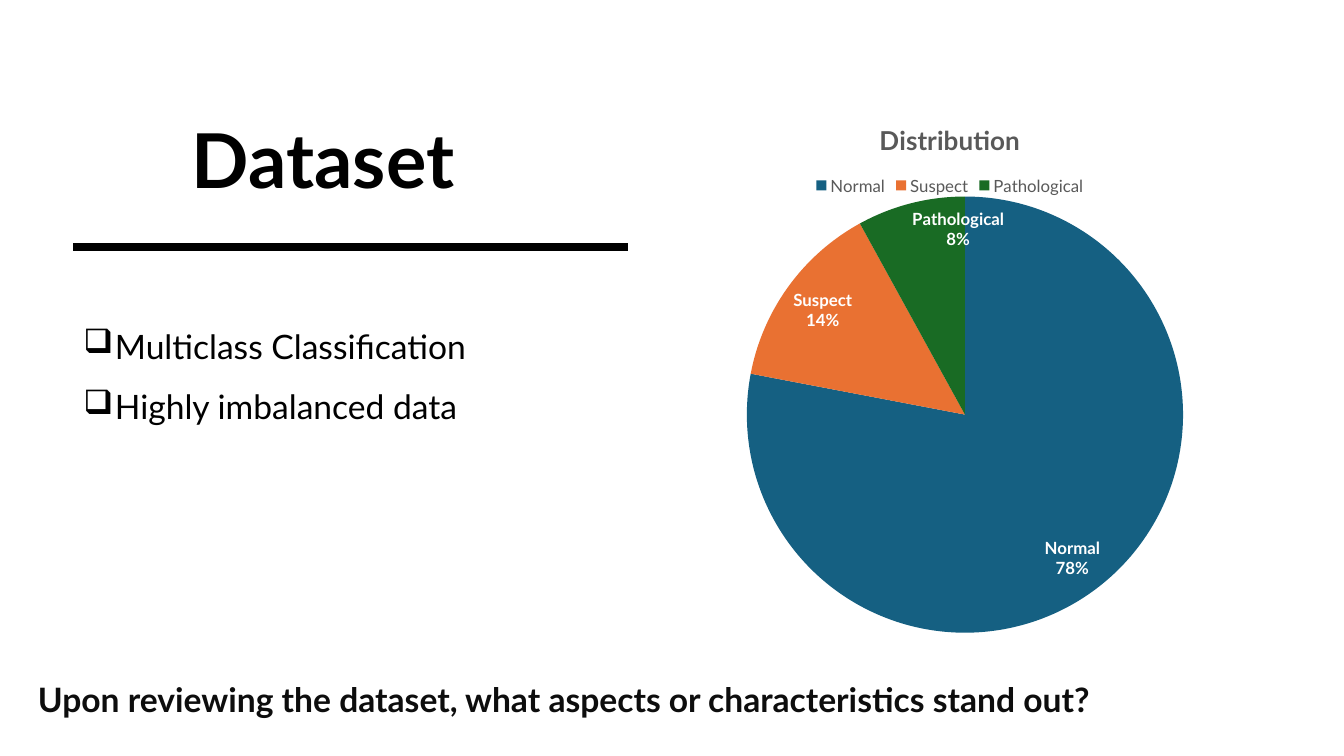
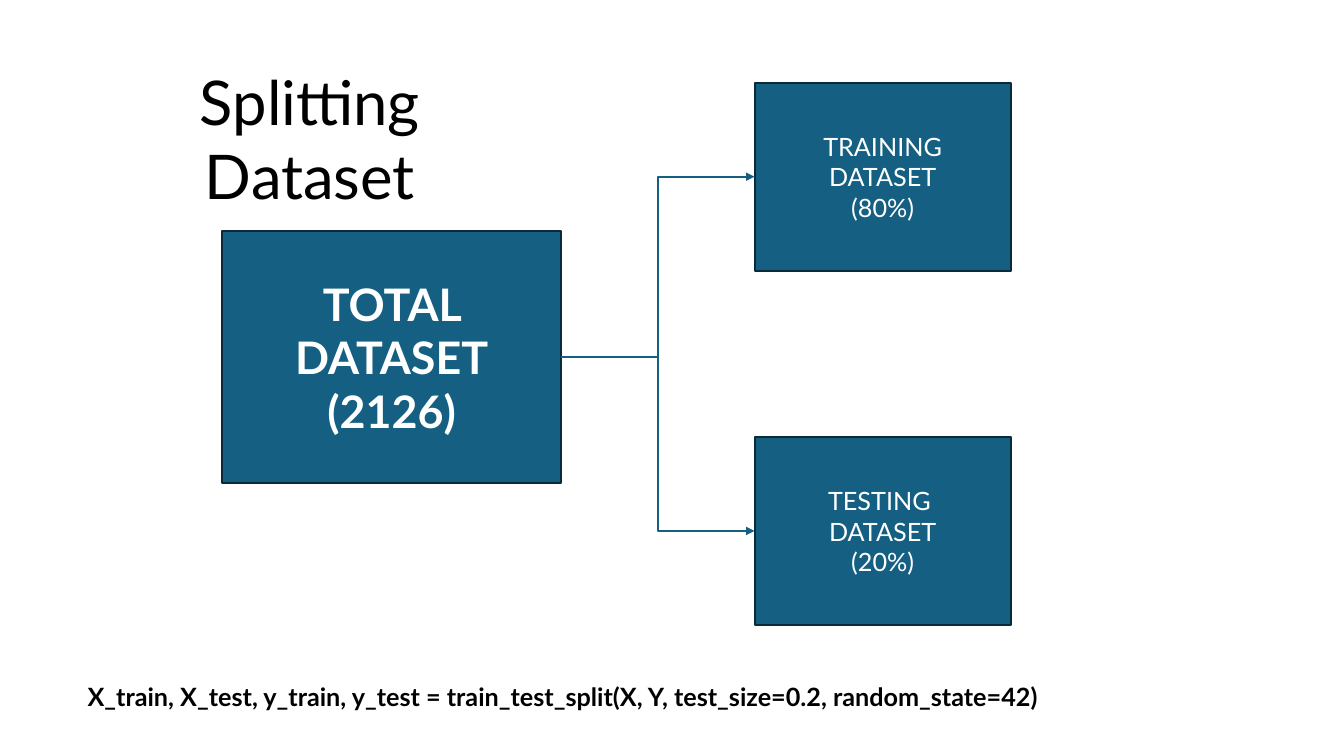
from dataclasses import dataclass

import lxml.etree
import pptx
import pptx.chart.chart
import pptx.chart.data
import pptx.dml.color
import pptx.enum.chart
import pptx.enum.shapes
import pptx.enum.text
import pptx.oxml
import pptx.oxml.ns
import pptx.shapes.autoshape
import pptx.shapes.connector
import pptx.slide
import pptx.text.text
import pptx.util

Pt = pptx.util.Pt
RGB = pptx.dml.color.RGBColor
Align = pptx.enum.text.PP_ALIGN
Line = pptx.enum.shapes.MSO_CONNECTOR
qn = pptx.oxml.ns.qn

FONT = "Lato"
BLACK = RGB(0x00, 0x00, 0x00)
INK = RGB(0x0D, 0x0D, 0x0D)
GREY = RGB(0x59, 0x59, 0x59)
WHITE = RGB(0xFF, 0xFF, 0xFF)
BLUE = RGB(0x15, 0x60, 0x82)
NAVY = RGB(0x09, 0x2A, 0x39)
ORANGE = RGB(0xE9, 0x71, 0x32)
GREEN = RGB(0x19, 0x6B, 0x24)

LEFT = 55.5
SPLIT_X, SPLIT_W, SPLIT_H = 539, 183, 134.5


@dataclass(frozen=True)
class Area:
    x: float
    y: float
    w: float
    h: float

    def lengths(self) -> tuple[pptx.util.Length, ...]:
        return Pt(self.x), Pt(self.y), Pt(self.w), Pt(self.h)


@dataclass(frozen=True)
class Style:
    size: float
    bold: bool = False
    color: RGB = BLACK
    align: Align = Align.LEFT
    bullet: str = ""
    spacing: float = 1.0


@dataclass(frozen=True)
class Block:
    area: Area
    lines: tuple[str, ...]
    style: Style


@dataclass(frozen=True)
class Slice:
    name: str
    share: int
    color: RGB


SLICES = (
    Slice("Normal", 78, BLUE),
    Slice("Suspect", 14, ORANGE),
    Slice("Pathological", 8, GREEN),
)
LIST = Style(24, bullet="❑", spacing=1.5)
SMALL = Style(18, color=WHITE, align=Align.CENTER)
TOTAL = Block(Area(158.5, 165, 242.5, 180), ("TOTAL DATASET", "(2126)"),
              Style(32, True, WHITE, Align.CENTER))
SPLITS = (
    Block(Area(SPLIT_X, 312, SPLIT_W, SPLIT_H),
          ("TESTING ", "DATASET", "(20%)"), SMALL),
    Block(Area(SPLIT_X, 59, SPLIT_W, SPLIT_H),
          ("TRAINING", "DATASET", "(80%)"), SMALL),
)


def set_font(font: pptx.text.text.Font, size: float, bold: bool, color: RGB) -> None:
    font.name = FONT
    font.size = Pt(size)
    font.bold = bold
    font.color.rgb = color


def fill_text(frame: pptx.text.text.TextFrame, block: Block) -> None:
    style = block.style
    for i, line in enumerate(block.lines):
        para = frame.paragraphs[0] if i == 0 else frame.add_paragraph()
        para.text = line
        para.alignment = style.align
        para.line_spacing = style.spacing
        if style.bullet:
            props = para._p.get_or_add_pPr()
            props.set("marL", str(Pt(22.5)))
            props.set("indent", str(Pt(-22.5)))
            mark = lxml.etree.SubElement(props, qn("a:buChar"))
            mark.set("char", style.bullet)
        set_font(para.font, style.size, style.bold, style.color)


def add_text(slide: pptx.slide.Slide, block: Block, wrap: bool = True,
             inset: float = 7.2) -> None:
    frame = slide.shapes.add_textbox(*block.area.lengths()).text_frame
    frame.word_wrap = wrap
    frame.auto_size = pptx.enum.text.MSO_AUTO_SIZE.SHAPE_TO_FIT_TEXT
    frame.margin_left = frame.margin_right = Pt(inset)
    fill_text(frame, block)


def add_box(slide: pptx.slide.Slide, block: Block) -> pptx.shapes.autoshape.Shape:
    box = slide.shapes.add_shape(
        pptx.enum.shapes.MSO_SHAPE.RECTANGLE, *block.area.lengths())
    box.shadow.inherit = False
    box.fill.solid()
    box.fill.fore_color.rgb = BLUE
    box.line.color.rgb = NAVY
    box.line.width = Pt(1.5)
    box.text_frame.word_wrap = True
    box.text_frame.vertical_anchor = pptx.enum.text.MSO_ANCHOR.MIDDLE
    fill_text(box.text_frame, block)
    return box


def style_line(line: pptx.shapes.connector.Connector, color: RGB, width: float) -> None:
    line.line.color.rgb = color
    line.line.width = Pt(width)
    lxml.etree.SubElement(line._element.spPr, qn("a:effectLst"))


def add_arrow(slide: pptx.slide.Slide, start: pptx.shapes.autoshape.Shape,
              end: pptx.shapes.autoshape.Shape) -> None:
    """Run an elbow arrow from the right side of start to the left side of end."""
    arrow = slide.shapes.add_connector(Line.ELBOW, 0, 0, 0, 0)
    arrow.begin_connect(start, 3)
    arrow.end_connect(end, 1)
    style_line(arrow, BLUE, 1.5)
    head = lxml.etree.SubElement(arrow.line._get_or_add_ln(), qn("a:tailEnd"))
    head.set("type", "triangle")


def set_plot(chart: pptx.chart.chart.Chart, x: float, y: float, w: float, h: float) -> None:
    """Place the inner plot area, in fractions of the chart."""
    area = chart._chartSpace.chart.plotArea
    for old in area.findall(qn("c:layout")):
        area.remove(old)
    layout = lxml.etree.Element(qn("c:layout"))
    manual = lxml.etree.SubElement(layout, qn("c:manualLayout"))
    parts = {"layoutTarget": "inner", "xMode": "edge", "yMode": "edge",
             "x": x, "y": y, "w": w, "h": h}
    for tag, value in parts.items():
        lxml.etree.SubElement(manual, qn(f"c:{tag}")).set("val", str(value))
    area.insert(0, layout)


def add_pie(slide: pptx.slide.Slide, area: Area) -> None:
    data = pptx.chart.data.CategoryChartData()
    data.categories = [part.name for part in SLICES]
    data.add_series("Distribution", [part.share for part in SLICES])
    chart = slide.shapes.add_chart(
        pptx.enum.chart.XL_CHART_TYPE.PIE, *area.lengths(), data).chart
    set_font(chart.font, 10, False, BLACK)

    chart.has_title = True
    title = chart.chart_title.text_frame
    title.text = "Distribution"
    set_font(title.paragraphs[0].font, 18.6, True, GREY)
    chart.chart_title.include_in_layout = False

    chart.has_legend = True
    chart.legend.position = pptx.enum.chart.XL_LEGEND_POSITION.TOP
    chart.legend.include_in_layout = False
    set_font(chart.legend.font, 12, False, GREY)

    plot = chart.plots[0]
    plot.vary_by_categories = True
    for i, part in enumerate(SLICES):
        fill = plot.series[0].points[i].format.fill
        fill.solid()
        fill.fore_color.rgb = part.color
    labels = plot.series[0].data_labels
    labels.show_value = False
    labels.show_percentage = True
    labels.show_category_name = True
    labels.number_format = "0%"
    labels.number_format_is_linked = False
    labels.position = pptx.enum.chart.XL_LABEL_POSITION.INSIDE_END
    set_font(labels.font, 12, True, WHITE)
    set_plot(chart, 0.22, 0.18, 0.6, 0.82)


def draw_data(slide: pptx.slide.Slide) -> None:
    add_text(slide, Block(Area(126, 77, 209.5, 73), ("Dataset",),
                          Style(54, True, align=Align.CENTER)), wrap=False)
    add_text(slide, Block(Area(52.5, 214.5, 412.5, 134),
                          ("Multiclass Classification", "Highly imbalanced data"), LIST))
    add_pie(slide, Area(409, 72, 539, 380))
    rule = slide.shapes.add_connector(
        Line.STRAIGHT, Pt(52.5), Pt(176.5), Pt(448.5), Pt(176.5))
    style_line(rule, BLACK, 6)
    ask = "Upon reviewing the dataset, what aspects or characteristics stand out?"
    add_text(slide, Block(Area(20, 481.5, 838, 36), (ask,), Style(24, True, INK)))


def draw_split(slide: pptx.slide.Slide) -> None:
    total = add_box(slide, TOTAL)
    for block in SPLITS:
        add_arrow(slide, total, add_box(slide, block))
    code = ("X_train, X_test, y_train, y_test = "
            "train_test_split(X, Y, test_size=0.2, random_state=42)")
    add_text(slide, Block(Area(LEFT, 483, 751.5, 29), (code,), Style(18, True)))
    add_text(slide, Block(Area(LEFT, 42, 332, 60.5), ("Splitting Dataset",),
                          Style(44, align=Align.CENTER)), inset=36)


def main() -> None:
    deck = pptx.Presentation()
    deck.slide_width, deck.slide_height = Pt(960), Pt(540)
    for draw in (draw_data, draw_split):
        draw(deck.slides.add_slide(deck.slide_layouts[6]))
    deck.save("out.pptx")


if __name__ == "__main__":
    main()
